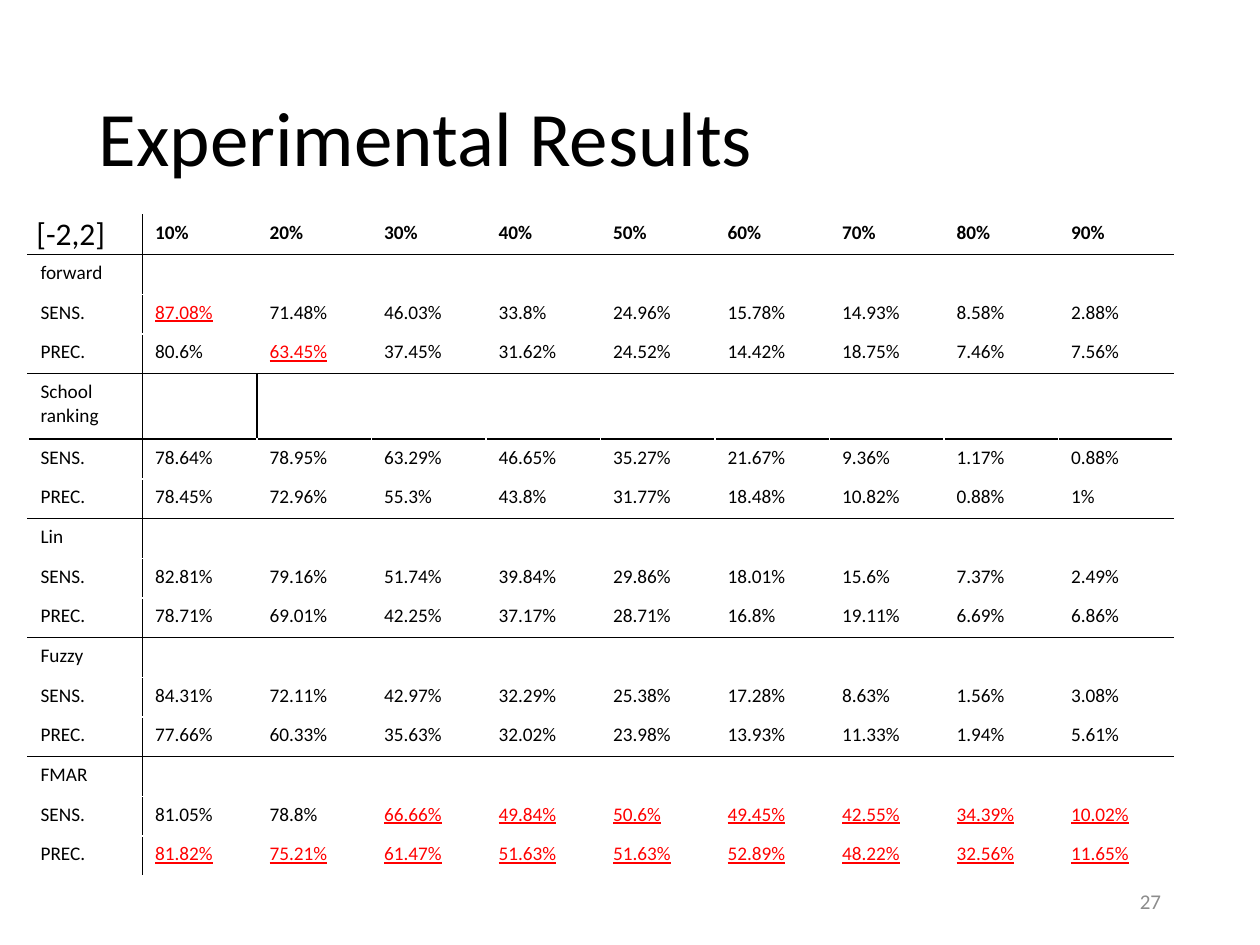
from dataclasses import dataclass

from lxml.etree import SubElement
from pptx import Presentation
from pptx.dml.color import RGBColor
from pptx.enum.text import MSO_ANCHOR as Anchor, PP_ALIGN as Align
from pptx.oxml.ns import qn
from pptx.slide import Slide
from pptx.util import Pt

BLACK = RGBColor(0x00, 0x00, 0x00)
WHITE = RGBColor(0xFF, 0xFF, 0xFF)
GRAY = RGBColor(0x8C, 0x8C, 0x8C)
RED = RGBColor(0xFF, 0x00, 0x00)

NO_STYLE = "{2D5ABB26-0587-4C30-8999-92F81FD0307C}"
COLUMNS = 10
ROW_HEIGHT, TALL_ROW_HEIGHT = 22.7, 37.5
TALL_ROW = 4

# A star marks the highlighted results.
RESULTS = {
    "forward": (
        "87.08%* 71.48% 46.03% 33.8% 24.96% 15.78% 14.93% 8.58% 2.88%",
        "80.6% 63.45%* 37.45% 31.62% 24.52% 14.42% 18.75% 7.46% 7.56%",
    ),
    "School ranking": (
        "78.64% 78.95% 63.29% 46.65% 35.27% 21.67% 9.36% 1.17% 0.88%",
        "78.45% 72.96% 55.3% 43.8% 31.77% 18.48% 10.82% 0.88% 1%",
    ),
    "Lin": (
        "82.81% 79.16% 51.74% 39.84% 29.86% 18.01% 15.6% 7.37% 2.49%",
        "78.71% 69.01% 42.25% 37.17% 28.71% 16.8% 19.11% 6.69% 6.86%",
    ),
    "Fuzzy": (
        "84.31% 72.11% 42.97% 32.29% 25.38% 17.28% 8.63% 1.56% 3.08%",
        "77.66% 60.33% 35.63% 32.02% 23.98% 13.93% 11.33% 1.94% 5.61%",
    ),
    "FMAR": (
        "81.05% 78.8% 66.66%* 49.84%* 50.6%* 49.45%* 42.55%* 34.39%* 10.02%*",
        "81.82%* 75.21%* 61.47%* 51.63%* 51.63%* 52.89%* 48.22%* 32.56%* 11.65%*",
    ),
}


def result_rows():
    rows = [[""] + [f"{percent}%" for percent in range(10, 100, 10)]]
    for method, (sensitivity, precision) in RESULTS.items():
        rows.append([method] + [""] * (COLUMNS - 1))
        rows.append(["SENS."] + sensitivity.split())
        rows.append(["PREC."] + precision.split())
    return rows


def border_colors(row, column, last_row):
    """Black rules close each group and follow the label column; the tall row has no white ones."""
    plain = None if row == TALL_ROW else WHITE
    above = None if row == TALL_ROW + 1 else plain
    return {
        "a:lnL": BLACK if column == 1 else plain,
        "a:lnR": BLACK if column == 0 else plain,
        "a:lnT": BLACK if row % 3 == 1 else above,
        "a:lnB": BLACK if row % 3 == 0 and row != last_row else plain,
    }


@dataclass
class SlideWriter:
    page: Slide
    font: str = "Calibri"
    table_size: float = 11

    def style(self, span, size, color=BLACK, bold=False):
        span.font.name = self.font
        span.font.size = Pt(size)
        span.font.bold = bold
        span.font.color.rgb = color

    def text(self, words, left, top, width, height, size, color=BLACK,
             align=Align.LEFT, anchor=Anchor.MIDDLE, wrap=True, spacing=None):
        box = self.page.shapes.add_textbox(Pt(left), Pt(top), Pt(width), Pt(height))
        frame = box.text_frame
        frame.word_wrap = wrap
        frame.vertical_anchor = anchor
        frame.text = words
        para = frame.paragraphs[0]
        para.alignment = align
        para.line_spacing = spacing
        self.style(para.runs[0], size, color)

    def cell(self, cell, words, borders, bold):
        para = cell.text_frame.paragraphs[0]
        if words:
            para.text = words.rstrip("*")
            span = para.runs[0]
            marked = words.endswith("*")
            self.style(span, self.table_size, RED if marked else BLACK, bold)
            span.font.underline = marked
        else:
            # Keeps an empty cell from stretching its row.
            SubElement(para._p, qn("a:endParaRPr"), sz=str(self.table_size * 100))
        properties = cell._tc.get_or_add_tcPr()
        for side, color in borders.items():
            if color is not None:
                line = SubElement(properties, qn(side), w=str(Pt(1)))
                fill = SubElement(line, qn("a:solidFill"))
                SubElement(fill, qn("a:srgbClr"), val=str(color))
        cell.fill.background()

    def table(self, rows, left, top, width, height):
        frame = self.page.shapes.add_table(
            len(rows), COLUMNS, Pt(left), Pt(top), Pt(width), Pt(height))
        table = frame.table
        table.first_row = table.horz_banding = False
        table._tbl.tblPr.find(qn("a:tableStyleId")).text = NO_STYLE
        for column in table.columns:
            column.width = Pt(width / COLUMNS)
        for r, row in enumerate(rows):
            table.rows[r].height = Pt(TALL_ROW_HEIGHT if r == TALL_ROW else ROW_HEIGHT)
            for c, words in enumerate(row):
                borders = border_colors(r, c, len(rows) - 1)
                self.cell(table.cell(r, c), words, borders, bold=r == 0)


def main():
    deck = Presentation()
    deck.slide_width, deck.slide_height = Pt(720), Pt(540)
    writer = SlideWriter(deck.slides.add_slide(deck.slide_layouts[6]))

    writer.text("Experimental Results", 49.5, 28.75, 621, 104.4, 44, spacing=0.9)
    writer.text("27", 508.5, 500.5, 162, 28.75, 12, GRAY, align=Align.RIGHT)
    writer.table(result_rows(), 16, 122.8, 654.5, 378)
    writer.text("[-2,2]", 13.7, 119, 54, 29, 18, anchor=Anchor.TOP, wrap=False)

    deck.save("out.pptx")


if __name__ == "__main__":
    main()
